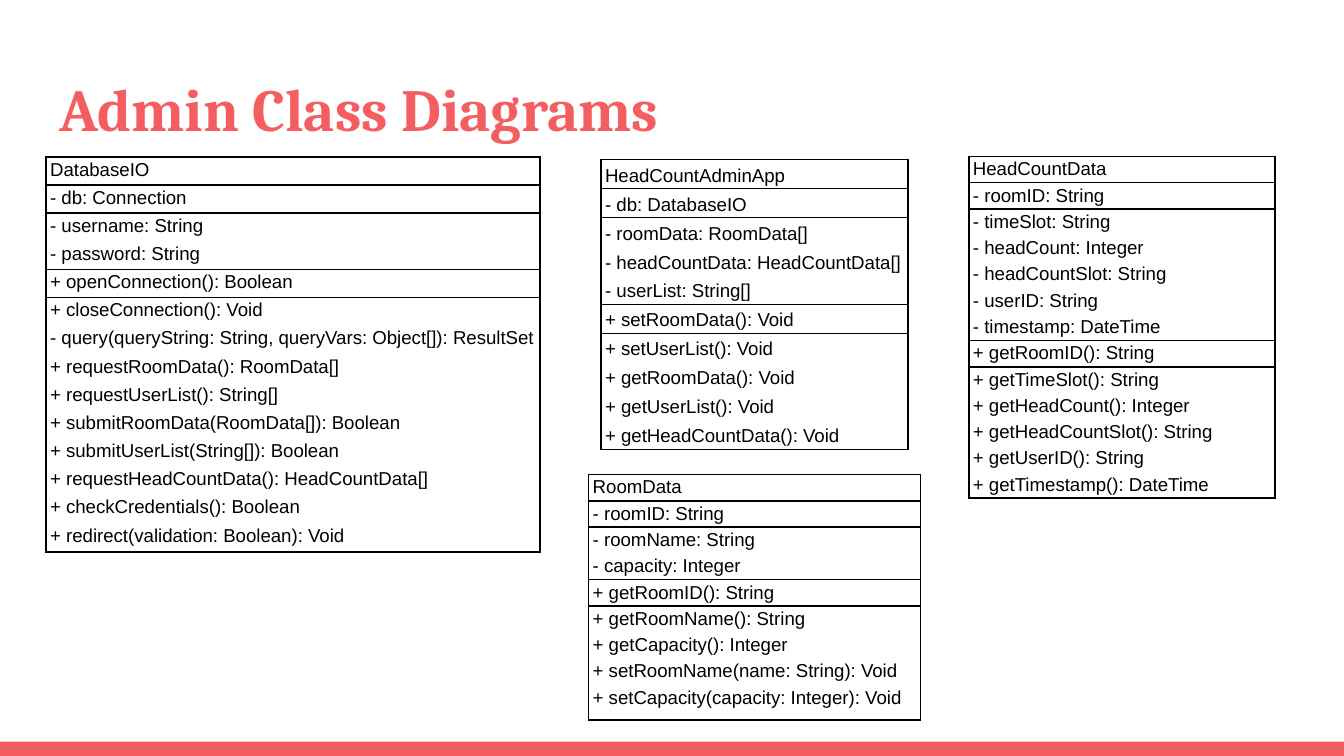
from lxml import etree
from pptx import Presentation
from pptx.dml.color import RGBColor
from pptx.enum import shapes, text
from pptx.oxml import ns
from pptx.util import Pt

COLORS = {"coral": "F55E61", "black": "000000"}


def write(frame, words, font="Arial", size=10, color="black", bold=False, spacing=1.0,
          insets=(2.25, 1.35), wrap=True):
    """Put one formatted line of text in a frame."""
    frame.word_wrap = wrap
    frame.margin_left = frame.margin_right = Pt(insets[0])
    frame.margin_top = frame.margin_bottom = Pt(insets[1])
    para = frame.paragraphs[0]
    para.alignment = text.PP_ALIGN.LEFT
    para.line_spacing = spacing
    span = para.add_run()
    span.text = words
    span.font.name = font
    span.font.size = Pt(size)
    span.font.bold = bold
    span.font.color.rgb = RGBColor.from_string(COLORS[color])


def set_borders(cell, sides):
    """Draw black 1 pt lines on the given sides and hide the others."""
    props = cell._tc.get_or_add_tcPr()
    for place, side in enumerate("LRTB"):
        line = etree.Element(ns.qn(f"a:ln{side}"), w=str(Pt(1)))
        if side in sides:
            fill = etree.SubElement(line, ns.qn("a:solidFill"))
            etree.SubElement(fill, ns.qn("a:srgbClr"), val=COLORS["black"])
        else:
            etree.SubElement(line, ns.qn("a:noFill"))
        props.insert(place, line)


deck = Presentation()
deck.slide_width, deck.slide_height = Pt(720), Pt(405)
page = deck.slides.add_slide(deck.slide_layouts[5])

# Bottom bar
bar = page.shapes.add_shape(shapes.MSO_SHAPE.RECTANGLE, Pt(0), Pt(397.3), Pt(720), Pt(7.7))
bar.shadow.inherit = False
bar.fill.solid()
bar.fill.fore_color.rgb = RGBColor.from_string(COLORS["coral"])
bar.line.fill.background()

# Title
title = page.shapes.title
title.left, title.top, title.width, title.height = Pt(24.5), Pt(31), Pt(671), Pt(49)
title.text_frame.auto_size = text.MSO_AUTO_SIZE.NONE
title.text_frame.vertical_anchor = text.MSO_ANCHOR.TOP
write(title.text_frame, "Admin Class Diagrams", font="Cambria", size=32, color="coral",
      bold=True, insets=(7.2, 7.2))

# Classes: left, top, width, row height, last row height, line spacing, name, fields, methods
classes = [
    (315.3, 254.2, 177.8, 14.1, 18.7, 1.0, "RoomData",
     ["- roomID: String", "- roomName: String", "- capacity: Integer"],
     ["+ getRoomID(): String", "+ getRoomName(): String", "+ getCapacity(): Integer",
      "+ setRoomName(name: String): Void", "+ setCapacity(capacity: Integer): Void"]),
    (24.6, 84, 264.8, 15.1, 15.8, 1.0, "DatabaseIO",
     ["- db: Connection", "- username: String", "- password: String"],
     ["+ openConnection(): Boolean", "+ closeConnection(): Void",
      "- query(queryString: String, queryVars: Object[]): ResultSet",
      "+ requestRoomData(): RoomData[]", "+ requestUserList(): String[]",
      "+ submitRoomData(RoomData[]): Boolean", "+ submitUserList(String[]): Boolean",
      "+ requestHeadCountData(): HeadCountData[]", "+ checkCredentials(): Boolean",
      "+ redirect(validation: Boolean): Void"]),
    (321.9, 85.5, 164.4, 14.1, 14.1, 1.15, "HeadCountAdminApp",
     ["- db: DatabaseIO", "- roomData: RoomData[]", "- headCountData: HeadCountData[]",
      "- userList: String[]"],
     ["+ setRoomData(): Void", "+ setUserList(): Void", "+ getRoomData(): Void",
      "+ getUserList(): Void", "+ getHeadCountData(): Void"]),
    (519, 83.8, 164.2, 14.1, 14.1, 1.0, "HeadCountData",
     ["- roomID: String", "- timeSlot: String", "- headCount: Integer",
      "- headCountSlot: String", "- userID: String", "- timestamp: DateTime"],
     ["+ getRoomID(): String", "+ getTimeSlot(): String", "+ getHeadCount(): Integer",
      "+ getHeadCountSlot(): String", "+ getUserID(): String", "+ getTimestamp(): DateTime"]),
]

# Class tables, ruled around the name and below the first line of each section
for left, top, width, row_height, last_height, spacing, name, fields, methods in classes:
    lines = [name, *fields, *methods]
    count = len(lines)
    heights = [row_height] * (count - 1) + [last_height]
    rules = {0, 1, 2, len(fields) + 1, len(fields) + 2, count}
    table = page.shapes.add_table(count, 1, Pt(left), Pt(top), Pt(width), Pt(sum(heights))).table
    table.first_row = table.horz_banding = False
    for index, words in enumerate(lines):
        table.rows[index].height = Pt(heights[index])
        cell = table.cell(index, 0)
        cell.fill.background()
        cell.margin_left = cell.margin_right = Pt(2.25)
        cell.margin_top = cell.margin_bottom = Pt(1.35)
        write(cell.text_frame, words, spacing=spacing, insets=(2.25, 1.35))
        set_borders(cell, "LR" + "T" * (index in rules) + "B" * (index + 1 in rules))

deck.save("out.pptx")
